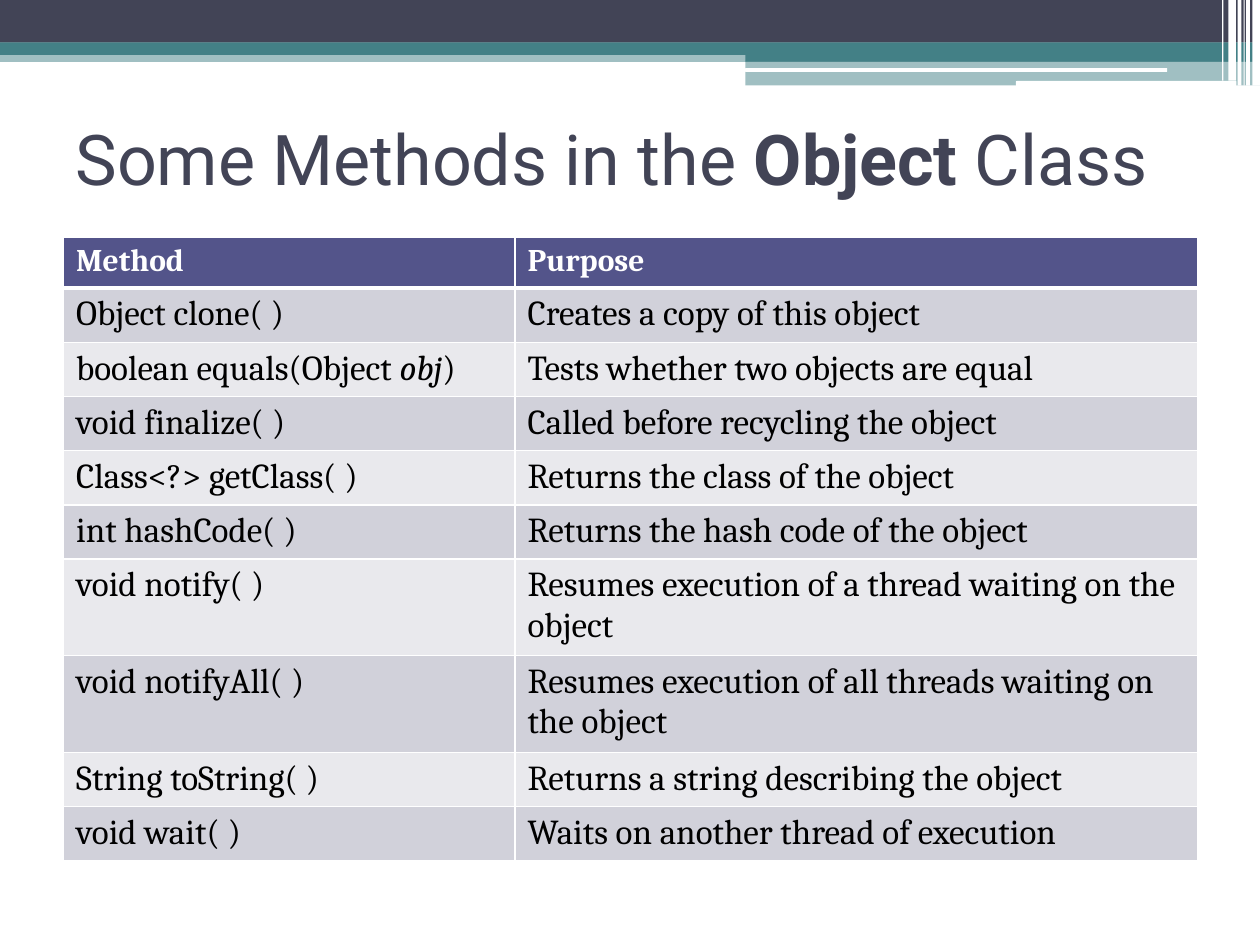
from dataclasses import dataclass

from lxml.etree import SubElement
from pptx import Presentation
from pptx.dml.color import RGBColor
from pptx.enum.shapes import MSO_SHAPE
from pptx.enum.text import MSO_ANCHOR, MSO_AUTO_SIZE, PP_ALIGN
from pptx.oxml.ns import qn
from pptx.util import Pt

WHITE, BLACK = "FFFFFF", "000000"
SLATE, TEAL, HEADER = "424456", "438086", "53548A"
ROW_FILLS = ("D1D1DA", "E9E9ED")


@dataclass
class Bar:
    x: float
    y: float
    w: float
    h: float
    color: str = WHITE
    alpha: int = 100
    rounded: bool = False


@dataclass
class Method:
    signature: tuple
    purpose: str
    height: float = 31


BARS = [
    # Full-width bands
    Bar(0, 28.8, 720, 6.6, TEAL, 50),
    Bar(0, 0, 720, 24.4, SLATE),
    Bar(0, 24.2, 720, 7.2, TEAL),
    # Right-hand block with its light lines
    Bar(426, 28.1, 294, 7.2, TEAL),
    Bar(426, 34.6, 294, 14.2, TEAL, 50),
    Bar(425.8, 38.9, 241.2, 2.2, rounded=True),
    Bar(580.5, 46.3, 126, 2.9, rounded=True),
    # Vertical stripes in the corner
    Bar(715.7, 0, 4.3, 49),
    Bar(712.1, 0, 2.2, 49),
    Bar(710.6, 0, 0.7, 49),
    Bar(707.2, 0, 2.2, 49),
    Bar(702, 0, 4.3, 46.1),
    Bar(698.4, 0, 0.7, 46.1),
]

METHODS = [
    Method(("Object clone( )",), "Creates a copy of this object"),
    Method(("boolean equals(Object ", "obj", ")"),
           "Tests whether two objects are equal"),
    Method(("void finalize( )",), "Called before recycling the object"),
    Method(("Class<?> getClass( )",), "Returns the class of the object"),
    Method(("int hashCode( )",), "Returns the hash code of the object"),
    Method(("void notify( )",),
           "Resumes execution of a thread waiting on the object", 55.2),
    Method(("void notifyAll( )",),
           "Resumes execution of all threads waiting on the object", 55.2),
    Method(("String toString( )",), "Returns a string describing the object"),
    Method(("void wait( )",), "Waits on another thread of execution"),
]


def rgb(color: str) -> RGBColor:
    return RGBColor.from_string(color)


def add_text(p, text: str, *, size: float, font: str = "Cambria",
             color: str = BLACK, bold: bool = False, italic: bool = False):
    r = p.add_run()
    r.text = text
    r.font.name = font
    r.font.size = Pt(size)
    r.font.bold = bold
    r.font.italic = italic
    r.font.color.rgb = rgb(color)


def add_bar(s, bar: Bar):
    kind = MSO_SHAPE.ROUNDED_RECTANGLE if bar.rounded else MSO_SHAPE.RECTANGLE
    sp = s.shapes.add_shape(kind, Pt(bar.x), Pt(bar.y), Pt(bar.w), Pt(bar.h))
    sp.shadow.inherit = False
    sp.line.fill.background()
    sp.fill.solid()
    sp.fill.fore_color.rgb = rgb(bar.color)
    if bar.alpha < 100:
        clr = sp.fill._xPr.find(".//" + qn("a:srgbClr"))
        SubElement(clr, qn("a:alpha"), val=str(bar.alpha * 1000))


def format_cell(cell, fill: str, top: float, bottom: float):
    """Set white borders, widths in points, and then the fill."""
    tc_pr = cell._tc.get_or_add_tcPr()
    for side, width in (("L", 1), ("R", 1), ("T", top), ("B", bottom)):
        ln = SubElement(tc_pr, qn(f"a:ln{side}"), w=str(Pt(width)))
        solid = SubElement(ln, qn("a:solidFill"))
        SubElement(solid, qn("a:srgbClr"), val=WHITE)
    cell.fill.solid()
    cell.fill.fore_color.rgb = rgb(fill)


def add_title(s):
    title = s.shapes.title
    title.left, title.top, title.width, title.height = (
        Pt(36), Pt(48.2), Pt(648), Pt(84.2))
    tf = title.text_frame
    tf.word_wrap = True
    tf.auto_size = MSO_AUTO_SIZE.NONE
    tf.vertical_anchor = MSO_ANCHOR.MIDDLE
    p = tf.paragraphs[0]
    p.alignment = PP_ALIGN.LEFT
    for text, bold in (("Some Methods in the ", False), ("Object", True),
                       (" Class", False)):
        add_text(p, text, size=40, font="Roboto", color=SLATE, bold=bold)


def add_method_table(s, methods: list[Method]):
    heights = [29.2] + [m.height for m in methods]
    table = s.shapes.add_table(len(heights), 2, Pt(36.3), Pt(135.4),
                               Pt(648), Pt(sum(heights))).table
    for col, width in zip(table.columns, (258, 390)):
        col.width = Pt(width)
    for row, height in zip(table.rows, heights):
        row.height = Pt(height)

    # Header row
    for cell, text in zip(table.rows[0].cells, ("Method", "Purpose")):
        format_cell(cell, HEADER, top=1, bottom=3)
        add_text(cell.text_frame.paragraphs[0], text, size=18, color=WHITE,
                 bold=True)

    # One row per method; every second part of a signature is a parameter
    for i, m in enumerate(methods):
        cells = table.rows[i + 1].cells
        for cell, parts in zip(cells, (m.signature, (m.purpose,))):
            format_cell(cell, ROW_FILLS[i % 2], top=1 if i else 3, bottom=1)
            for j, part in enumerate(parts):
                add_text(cell.text_frame.paragraphs[0], part, size=20,
                         italic=j % 2 == 1)


def main():
    prs = Presentation()
    prs.slide_width, prs.slide_height = Pt(720), Pt(540)
    s = prs.slides.add_slide(prs.slide_layouts[5])
    for bar in BARS:
        add_bar(s, bar)
    add_title(s)
    add_method_table(s, METHODS)
    prs.save("out.pptx")


if __name__ == "__main__":
    main()
